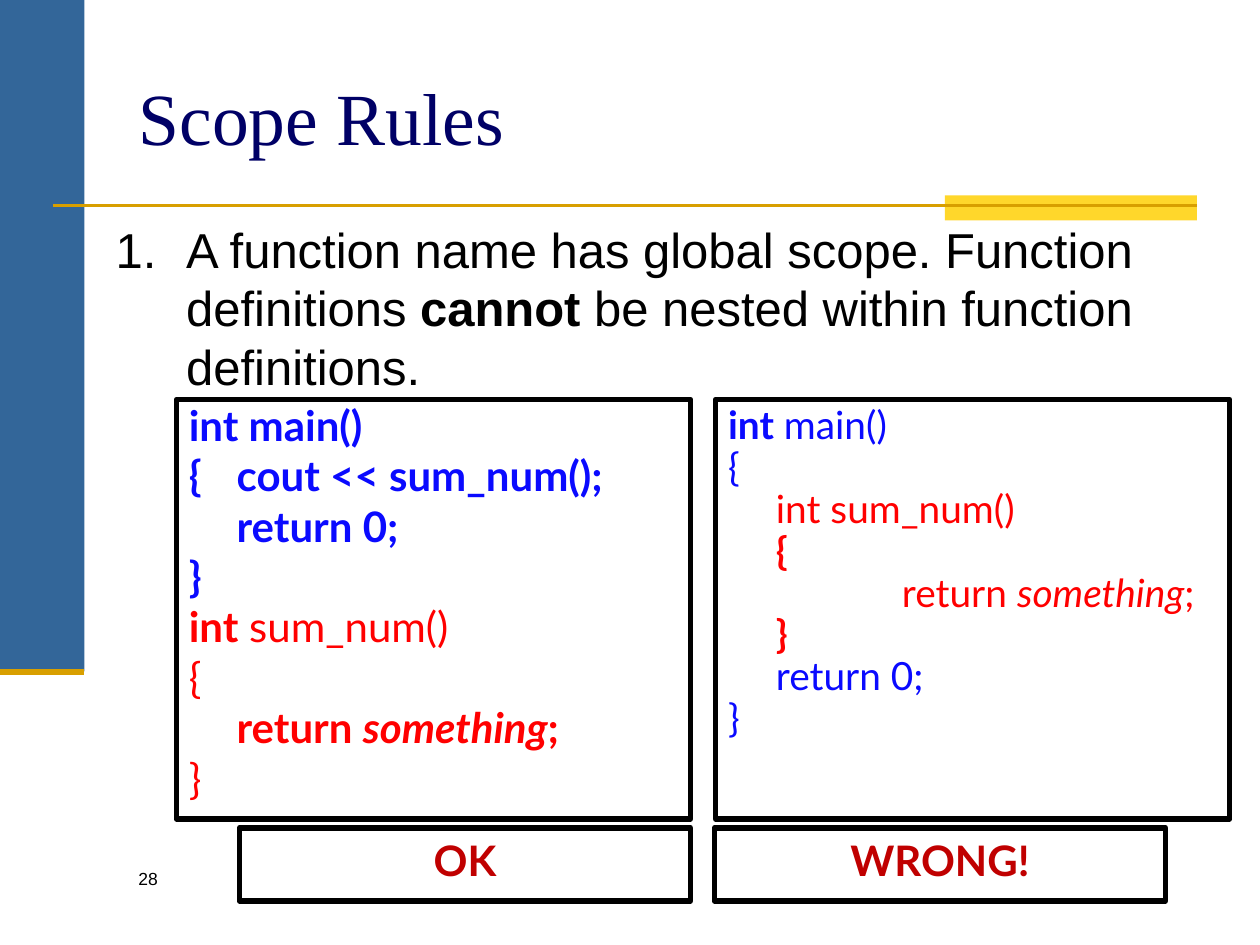
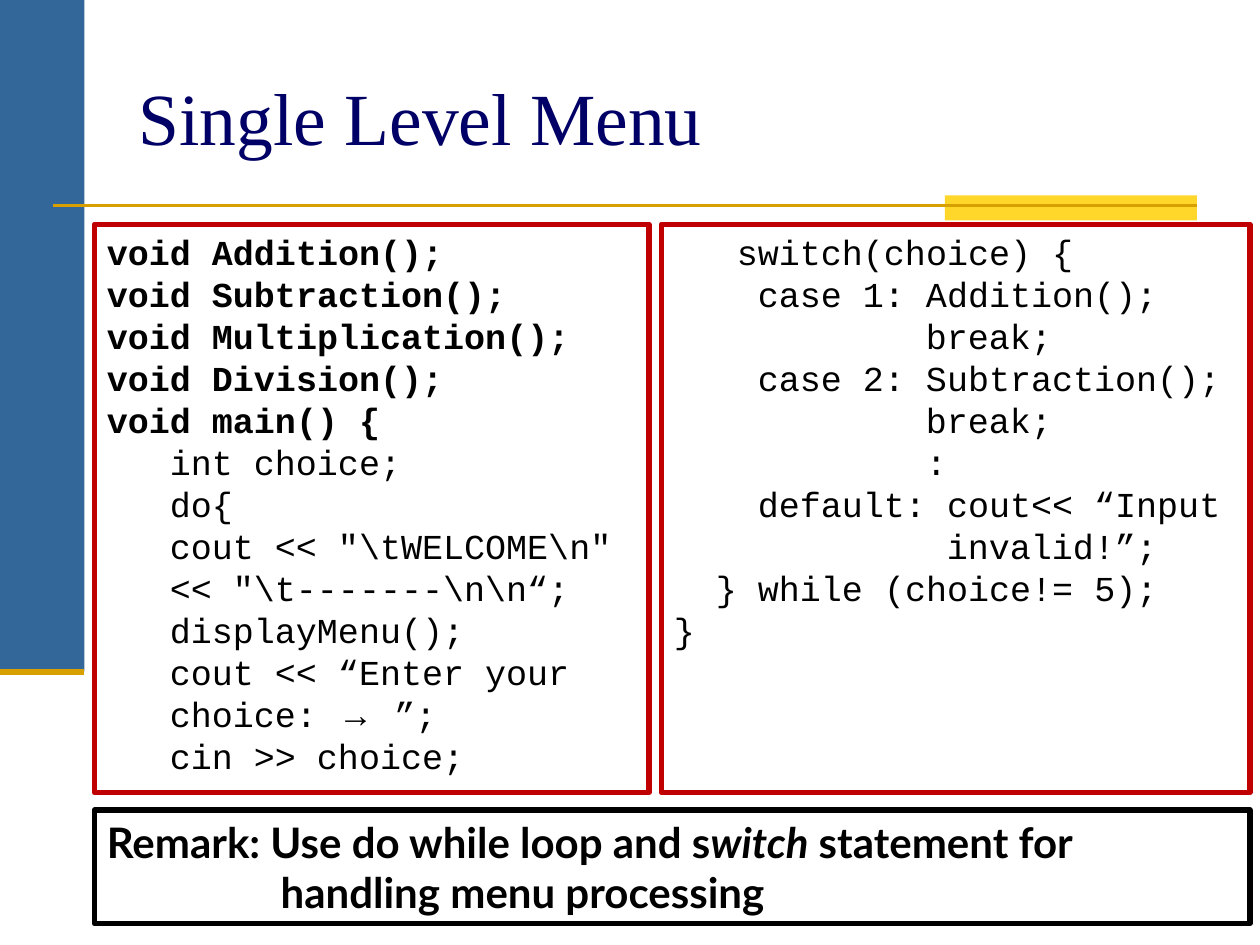
"""Build two C++ lecture slides: function scope rules and a single level menu."""
from lxml import etree
from pptx import Presentation
from pptx.dml.color import RGBColor
from pptx.enum.shapes import MSO_CONNECTOR, MSO_SHAPE
from pptx.enum.text import MSO_ANCHOR, PP_ALIGN
from pptx.oxml.ns import qn
from pptx.util import Inches, Pt

STRAIGHT = MSO_CONNECTOR.STRAIGHT
RECTANGLE = MSO_SHAPE.RECTANGLE
TOP, MIDDLE = MSO_ANCHOR.TOP, MSO_ANCHOR.MIDDLE
LEFT, CENTER = PP_ALIGN.LEFT, PP_ALIGN.CENTER

BLACK = RGBColor(0x00, 0x00, 0x00)
WHITE = RGBColor(0xFF, 0xFF, 0xFF)
NAVY = RGBColor(0x00, 0x00, 0x66)
STEEL = RGBColor(0x33, 0x66, 0x99)
YELLOW = RGBColor(0xFF, 0xD7, 0x2B)
GOLD = RGBColor(0xD8, 0x9F, 0x00)
BLUE = RGBColor(0x0A, 0x0A, 0xFF)
RED = RGBColor(0xFF, 0x00, 0x00)
CRIMSON = RGBColor(0xC0, 0x00, 0x00)

BANDS = [((0, 0, 0.67, 5.33), STEEL), ((7.5, 1.55, 2, 0.2), YELLOW)]
RULES = [((0.42, 1.63, 9.5, 1.63), 1.5), ((0, 5.33, 0.67, 5.33), 3.5)]
TITLE_BOX = (1, 0.3, 8.5, 1.25)
INSETS = (0.1, 0.05, 0.1, 0.05)

TITLE_FONT = {"name": "Times New Roman", "size": Pt(42)}
BODY_FONT = {"name": "Arial", "size": Pt(28)}
NUMBER_FONT = {"name": "Arial", "size": Pt(10)}
LATO_FONT = {"name": "Lato", "size": Pt(24)}
SMALL_LATO_FONT = {"name": "Lato", "size": Pt(22.2)}
CODE_FONT = {"name": "Courier New", "size": Pt(20)}
LINE_HEIGHT = 1.2
CODE_COLUMN = 1 / 6

BOLD, ITALIC = {"bold": True}, {"italic": True}
BOLD_ITALIC = {"bold": True, "italic": True}
BLUE_TEXT, RED_TEXT = {"color": BLUE}, {"color": RED}
BLUE_BOLD, RED_BOLD = BLUE_TEXT | BOLD, RED_TEXT | BOLD

STEP = 0.38
RULE = [(0.56, -0.56, [
    ("A function name has global scope. Function definitions ", {}),
    ("cannot", BOLD),
    (" be nested within function definitions.", {}),
])]
SEPARATE_FUNCTIONS = [
    (0, 0, [("int main()", BLUE_BOLD)]),
    (STEP, -STEP, [("{\tcout << sum_num();", BLUE_BOLD)]),
    (STEP, 0, [("return 0;", BLUE_BOLD)]),
    (0, 0, [("}", BLUE_BOLD)]),
    (0, 0, [("int", RED_BOLD), (" sum_num()", RED_TEXT)]),
    (0, 0, [("{", RED_TEXT)]),
    (STEP, 0, [("return ", RED_BOLD), ("something", RED_BOLD | ITALIC), (";", RED_BOLD)]),
    (0, 0, [("}", RED_TEXT)]),
]
NESTED_FUNCTIONS = [
    (0, 0, [("int", BLUE_BOLD), (" main()", BLUE_TEXT)]),
    (0, 0, [("{", BLUE_TEXT)]),
    (STEP, 0, [("int sum_num()", RED_TEXT)]),
    (STEP, 0, [("{", RED_BOLD)]),
    (STEP + 1, 0, [("return ", RED_TEXT), ("something", RED_TEXT | ITALIC), (";", RED_TEXT)]),
    (STEP, 0, [("}", RED_BOLD)]),
    (STEP, 0, [("return 0;", BLUE_TEXT)]),
    (0, 0, [("}", BLUE_TEXT)]),
]
VERDICTS = [("OK", 1.9), ("WRONG!", 5.67)]

PROTOTYPES = [
    "void Addition();", "void Subtraction();", "void Multiplication();",
    "void Division();", "void main() {",
]
MENU_LOOP = [
    "int choice;", "do{", r'cout << "\tWELCOME\n"', r'<< "\t-------\n\n“;',
    "displayMenu();",
]
MENU_SWITCH = [
    (3, "switch(choice) {"),
    (4, "case 1: Addition();"),
    (12, "break;"),
    (4, "case 2: Subtraction();"),
    (12, "break;"),
    (12, ":"),
    (4, "default: cout<< “Input"),
    (13, "invalid!”;"),
    (2, "} while (choice!= 5);"),
    (0, "}"),
]
REMARK = [(1.38, -1.38, [
    ("Remark: Use do while loop and s", BOLD),
    ("witch", BOLD_ITALIC),
    (" statement for handling menu processing", BOLD),
])]


def inches(values):
    return [Inches(value) for value in values]


def set_attributes(target, values):
    for name, value in values.items():
        setattr(target, name, value)


def code_line(column, text, style=None):
    return column * CODE_COLUMN, 0, [(text, style or {})]


def write_text(frame, paragraphs, font, insets=INSETS, align=LEFT, anchor=TOP, spacing=None):
    margins = zip(("margin_left", "margin_top", "margin_right", "margin_bottom"), inches(insets))
    set_attributes(frame, {"word_wrap": True, "vertical_anchor": anchor} | dict(margins))
    for index, (left, first, runs) in enumerate(paragraphs):
        paragraph = frame.add_paragraph() if index else frame.paragraphs[0]
        set_attributes(paragraph, {"alignment": align, "line_spacing": spacing})
        properties = paragraph._p.get_or_add_pPr()
        properties.set("marL", str(Inches(left)))
        properties.set("indent", str(Inches(first)))
        for text, style in runs:
            run = paragraph.add_run()
            run.text = text
            values = {"bold": False, "italic": False} | font | style
            run.font.color.rgb = values.pop("color", BLACK)
            set_attributes(run.font, values)


def add_box(slide, box, fill, line=None):
    shape = slide.shapes.add_shape(RECTANGLE, *inches(box))
    shape.shadow.inherit = False
    shape.fill.solid()
    shape.fill.fore_color.rgb = fill
    if line is None:
        shape.line.fill.background()
    else:
        shape.line.color.rgb = line
        shape.line.width = Pt(3.15)
    return shape


def add_panel(slide, box, line, paragraphs, font, **layout):
    write_text(add_box(slide, box, WHITE, line).text_frame, paragraphs, font, **layout)


def add_text(slide, box, paragraphs, font, **layout):
    shape = slide.shapes.add_textbox(*inches(box))
    write_text(shape.text_frame, paragraphs, font, **layout)
    return shape


def add_titled_slide(presentation, title):
    slide = presentation.slides.add_slide(presentation.slide_layouts[5])
    for box, fill in BANDS:
        add_box(slide, box, fill)
    for ends, width in RULES:
        connector = slide.shapes.add_connector(STRAIGHT, *inches(ends))
        connector.line.color.rgb = GOLD
        connector.line.width = Pt(width)
        etree.SubElement(connector._element.spPr, qn("a:effectLst"))
    placeholder = slide.shapes.title
    set_attributes(placeholder, dict(zip(("left", "top", "width", "height"), inches(TITLE_BOX))))
    write_text(placeholder.text_frame, [(0, 0, [(title, {"color": NAVY})])], TITLE_FONT, anchor=MIDDLE)
    return slide


def build_scope_slide(presentation):
    slide = add_titled_slide(presentation, "Scope Rules")
    rule = add_text(slide, (0.82, 1.69, 8.36, 1.5), RULE, BODY_FONT, spacing=Pt(28 * LINE_HEIGHT))
    properties = rule.text_frame.paragraphs[0]._p.get_or_add_pPr()
    etree.SubElement(properties, qn("a:buFont"), typeface="Arial")
    etree.SubElement(properties, qn("a:buAutoNum"), type="arabicPeriod")
    add_panel(slide, (1.4, 3.17, 4.08, 3.33), BLACK, SEPARATE_FUNCTIONS, LATO_FONT, insets=(0.1, 0, 0.1, 0))
    add_panel(slide, (5.68, 3.17, 4.08, 3.33), BLACK, NESTED_FUNCTIONS, SMALL_LATO_FONT, spacing=0.9)
    for verdict, left in VERDICTS:
        paragraphs = [(0, 0, [(verdict, BOLD | {"color": CRIMSON})])]
        add_panel(slide, (left, 6.57, 3.58, 0.58), BLACK, paragraphs, LATO_FONT, align=CENTER)
    add_text(slide, (1, 6.84, 0.8, 0.5), [(0, 0, [("28", {})])], NUMBER_FONT)


def build_menu_slide(presentation):
    slide = add_titled_slide(presentation, "Single Level Menu")
    prompt = [("cout << “Enter your choice: ", {}), ("→", {"name": "Arial"}), (" ”;", {})]
    declarations = [code_line(0, text, BOLD) for text in PROTOTYPES]
    declarations += [code_line(3, text) for text in MENU_LOOP]
    declarations += [(3 * CODE_COLUMN, 0, prompt), code_line(3, "cin >> choice;")]
    cases = [code_line(column, text) for column, text in MENU_SWITCH]
    for left, width, paragraphs in [(0.75, 4.4, declarations), (5.25, 4.67, cases)]:
        add_panel(slide, (left, 1.78, width, 4.51), CRIMSON, paragraphs, CODE_FONT,
                  spacing=Pt(20 * LINE_HEIGHT))
    add_panel(slide, (0.75, 6.43, 9.17, 0.9), BLACK, REMARK, LATO_FONT, insets=(0.1, 0.05, 0.2, 0.05))


def main():
    presentation = Presentation()
    presentation.slide_width, presentation.slide_height = Inches(10), Inches(7.5)
    build_scope_slide(presentation)
    build_menu_slide(presentation)
    presentation.save("out.pptx")


if __name__ == "__main__":
    main()
